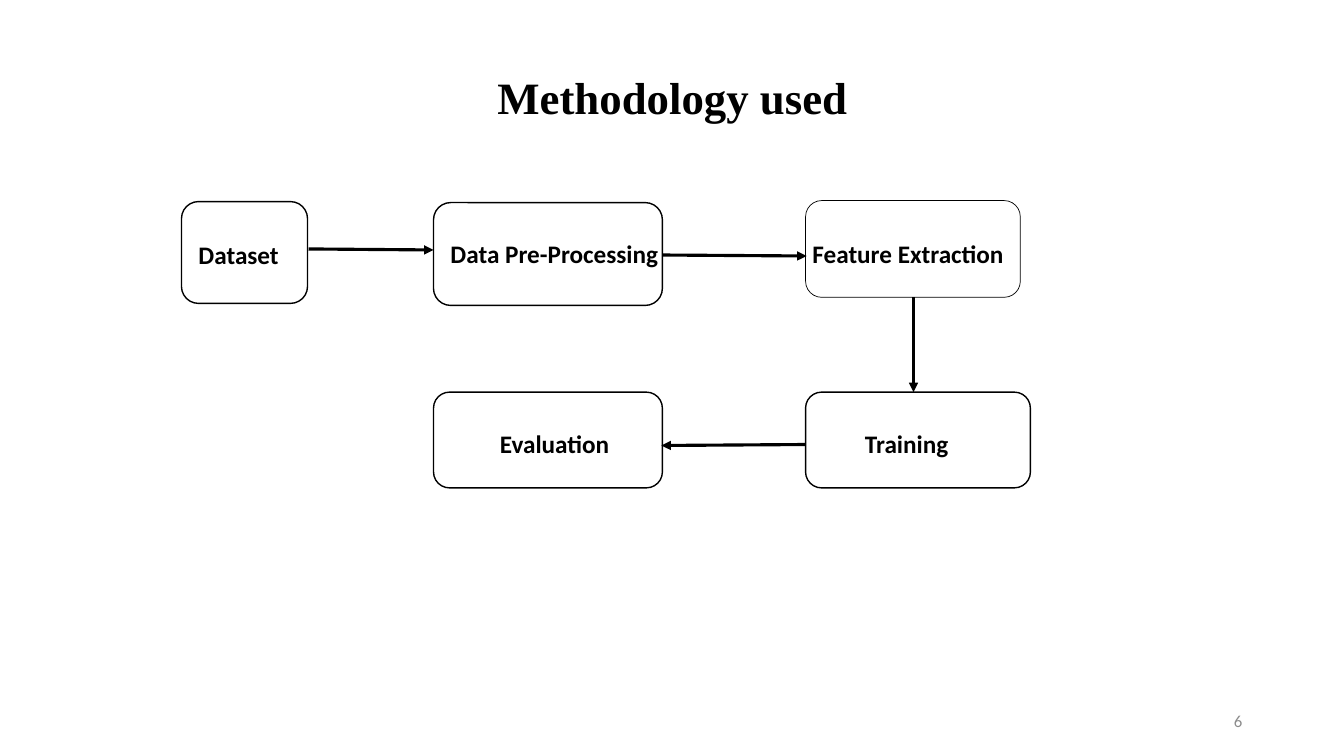
from lxml.etree import SubElement
from pptx import Presentation
from pptx.dml.color import RGBColor
from pptx.enum.shapes import MSO_CONNECTOR, MSO_SHAPE
from pptx.enum.text import MSO_ANCHOR, PP_ALIGN
from pptx.oxml.ns import qn
from pptx.util import Inches, Pt

COLORS = {"ink": "000000", "paper": "FFFFFF", "muted": "8C8C8C"}

STEPS = [
    ("Dataset", (1.8, 2, 1.25, 1.01), 1, (1.87, 2.33, 1.05, 0.4), 0),
    ("Data Pre-Processing", (4.3, 2.01, 2.27, 1.02), 1, (4.26, 2.32, 2.5, 0.4), 0.11),
    ("Feature Extraction", (7.99, 1.99, 2.13, 0.96), 0.5, (7.85, 2.32, 2.5, 0.4), 0.11),
    ("Training", (7.99, 3.89, 2.23, 0.95), 1, (8.03, 4.2, 2.09, 0.4), 0.45),
    ("Evaluation", (4.3, 3.89, 2.27, 0.95), 1, (4.35, 4.2, 2.41, 0.4), 0.51),
]
ARROWS = [
    (3.06, 2.47, 4.3, 2.48),
    (6.57, 2.53, 8, 2.54),
    (9.06, 2.95, 9.06, 3.89),
    (7.99, 4.41, 6.56, 4.42),
]


def color(name):
    return RGBColor.from_string(COLORS[name])


def inches(values):
    return [Inches(value) for value in values]


def write(frame, text, size, font="Calibri", ink="ink", bold=False, align=PP_ALIGN.LEFT):
    frame.word_wrap = True
    paragraph = frame.paragraphs[0]
    paragraph.text = text
    paragraph.alignment = align
    style = paragraph.runs[0].font
    style.name = font
    style.size = Pt(size)
    style.bold = bold
    style.color.rgb = color(ink)
    return paragraph


def add_title(slide, text):
    title = slide.shapes.title
    title.left, title.top, title.width, title.height = inches((0.92, 0.4, 11.5, 1.18))
    title.text_frame.vertical_anchor = MSO_ANCHOR.MIDDLE
    heading = write(title.text_frame, text, 32, "Times New Roman", bold=True,
                    align=PP_ALIGN.CENTER)
    heading.line_spacing = 0.9


def add_page_number(slide, number):
    footer = slide.shapes.add_textbox(*inches((9.42, 6.95, 3, 0.4)))
    footer.text_frame.vertical_anchor = MSO_ANCHOR.MIDDLE
    write(footer.text_frame, number, 12, ink="muted", align=PP_ALIGN.RIGHT)


def add_step(slide, name, box_area, border, label_area, indent):
    box = slide.shapes.add_shape(MSO_SHAPE.ROUNDED_RECTANGLE, *inches(box_area))
    box.shadow.inherit = False
    box.fill.solid()
    box.fill.fore_color.rgb = color("paper")
    box.line.color.rgb = color("ink")
    box.line.width = Pt(border)
    label = slide.shapes.add_textbox(*inches(label_area))
    paragraph = write(label.text_frame, name, 18, bold=True)
    paragraph._p.get_or_add_pPr().set("marL", str(Inches(indent)))


def add_arrow(slide, ends):
    arrow = slide.shapes.add_connector(MSO_CONNECTOR.STRAIGHT, *inches(ends))
    arrow.line.color.rgb = color("ink")
    arrow.line.width = Pt(2.25)
    SubElement(arrow.line._get_or_add_ln(), qn("a:tailEnd"), type="triangle")
    SubElement(arrow._element.spPr, qn("a:effectLst"))


def main():
    deck = Presentation()
    deck.slide_width, deck.slide_height = inches((13.33, 7.5))
    slide = deck.slides.add_slide(deck.slide_layouts.get_by_name("Title Only"))
    add_title(slide, "Methodology used")
    add_page_number(slide, "6")
    for step in STEPS:
        add_step(slide, *step)
    for ends in ARROWS:
        add_arrow(slide, ends)
    deck.save("out.pptx")


if __name__ == "__main__":
    main()
